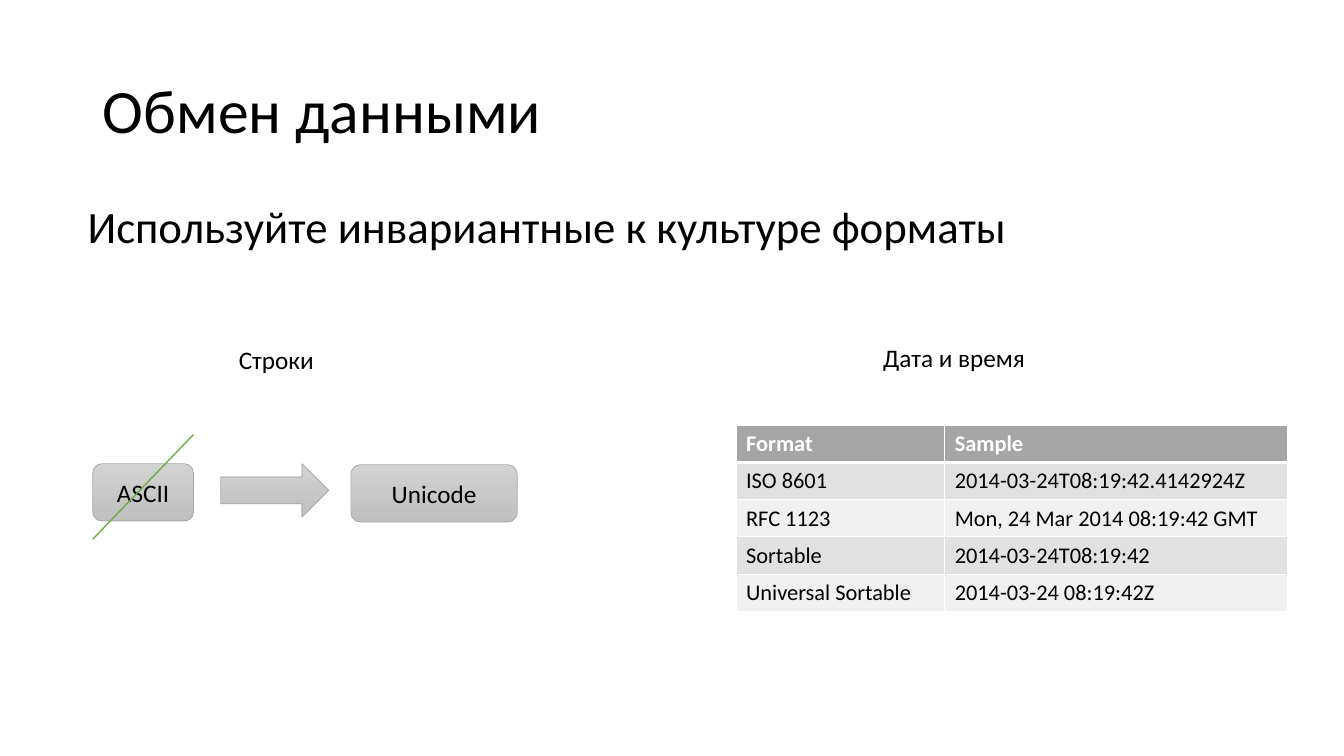
from dataclasses import dataclass

from lxml import etree
from pptx import Presentation
from pptx.dml.color import RGBColor
from pptx.enum.shapes import MSO_CONNECTOR, MSO_SHAPE
from pptx.enum.text import MSO_ANCHOR, MSO_AUTO_SIZE, PP_ALIGN
from pptx.oxml.ns import qn
from pptx.util import Inches, Pt

ROUND_RECT, RIGHT_ARROW = MSO_SHAPE.ROUNDED_RECTANGLE, MSO_SHAPE.RIGHT_ARROW
STRAIGHT = MSO_CONNECTOR.STRAIGHT
MIDDLE = MSO_ANCHOR.MIDDLE
LEFT, CENTER = PP_ALIGN.LEFT, PP_ALIGN.CENTER
NO_GROW, GROW = MSO_AUTO_SIZE.NONE, MSO_AUTO_SIZE.SHAPE_TO_FIT_TEXT


@dataclass(frozen=True)
class Theme:
    font: str = "Calibri"
    text: str = "000000"
    white: str = "FFFFFF"
    gray: str = "A5A5A5"
    green: str = "70AD47"
    gradient: tuple = ("D2D2D2", "C0C0C0")
    bands: tuple = ("E1E1E1", "F0F0F0")
    title: int = 44
    lead: int = 32
    body: int = 18
    cell: int = 16


THEME = Theme()
FORMATS = [
    ("Format", "Sample"),
    ("ISO 8601", "2014-03-24T08:19:42.4142924Z"),
    ("RFC 1123", "Mon, 24 Mar 2014 08:19:42 GMT"),
    ("Sortable", "2014-03-24T08:19:42"),
    ("Universal Sortable", "2014-03-24 08:19:42Z"),
]


def rgb(color):
    return RGBColor.from_string(color)


def inches(*lengths):
    return [Inches(length) for length in lengths]


def write(tf, text, size, color=THEME.text, bold=False, align=LEFT):
    p = tf.paragraphs[0]
    p.alignment = align
    r = p.add_run()
    r.text = text
    for name, value in {"name": THEME.font, "size": Pt(size), "bold": bold}.items():
        setattr(r.font, name, value)
    r.font.color.rgb = rgb(color)
    return p


def add_title(slide, text, box):
    sp = slide.shapes.title
    sp.left, sp.top, sp.width, sp.height = inches(*box)
    tf = sp.text_frame
    for name, value in {"word_wrap": True, "auto_size": NO_GROW, "vertical_anchor": MIDDLE}.items():
        setattr(tf, name, value)
    write(tf, text, THEME.title).line_spacing = 0.9


def add_label(slide, text, box, size):
    tf = slide.shapes.add_textbox(*inches(*box)).text_frame
    tf.word_wrap = False
    tf.auto_size = GROW
    write(tf, text, size)


def add_gray_shape(slide, kind, box, text=None):
    sp = slide.shapes.add_shape(kind, *inches(*box))
    sp.shadow.inherit = False
    sp.fill.gradient()
    sp.fill.gradient_angle = 270
    for stop, color in zip(sp.fill.gradient_stops, THEME.gradient):
        stop.color.rgb = rgb(color)
    for stop, position in zip(sp.fill.gradient_stops, (0, 1)):
        stop.position = position
    sp.line.color.rgb = rgb(THEME.gray)
    sp.line.width = Pt(0.5)
    if text:
        sp.text_frame.vertical_anchor = MIDDLE
        write(sp.text_frame, text, THEME.body, align=CENTER)


def add_strike(slide, start, end):
    line = slide.shapes.add_connector(STRAIGHT, *inches(*start, *end))
    line.line.color.rgb = rgb(THEME.green)
    line.line.width = Pt(1)
    etree.SubElement(line.element.spPr, qn("a:effectLst"))


def add_strings(slide, box):
    """Replacement of ASCII by Unicode."""
    x, y, w, h = box
    add_label(slide, "Строки", (x + 1.35, y, 0.96, 0.4), THEME.body)
    row = y + 1.23
    ascii_w, unicode_w, box_h = 1, 1.65, 0.57
    add_gray_shape(slide, ROUND_RECT, (x, row, ascii_w, box_h), "ASCII")
    add_gray_shape(slide, ROUND_RECT, (x + w - unicode_w, row + 0.01, unicode_w, box_h), "Unicode")
    add_gray_shape(slide, RIGHT_ARROW, (x + 1.27, row, 1.07, 0.53))
    add_strike(slide, (x + ascii_w, row - 0.29), (x, y + h))


def set_borders(cell, bottom):
    tc_pr = cell._tc.get_or_add_tcPr()
    for side, width in {"L": 1, "R": 1, "T": 1, "B": bottom}.items():
        ln = etree.SubElement(tc_pr, qn(f"a:ln{side}"), w=str(Pt(width)))
        fill = etree.SubElement(ln, qn("a:solidFill"))
        etree.SubElement(fill, qn("a:srgbClr"), val=THEME.white)


def add_dates(slide, box):
    """Date and time formats with samples."""
    x, y, w, h = box
    add_label(slide, "Дата и время", (x + 1.36, y, 1.62, 0.4), THEME.body)
    top = y + 0.87
    frame = slide.shapes.add_table(len(FORMATS), 2, *inches(x, top, w, y + h - top))
    table = frame.table
    for column, width in zip(table.columns, (2.07, w - 2.07)):
        column.width = Inches(width)
    for i, values in enumerate(FORMATS):
        header = i == 0
        table.rows[i].height = Inches(0.35 if header else 0.37)
        for j, value in enumerate(values):
            cell = table.cell(i, j)
            set_borders(cell, 3 if header else 1)
            cell.fill.solid()
            cell.fill.fore_color.rgb = rgb(THEME.gray if header else THEME.bands[(i - 1) % 2])
            color = THEME.white if header else THEME.text
            write(cell.text_frame, value, THEME.cell, color, bold=header)


def main():
    prs = Presentation()
    prs.slide_width, prs.slide_height = inches(13.33, 7.5)
    slide = prs.slides.add_slide(prs.slide_layouts[5])

    # Heading and lead line
    add_title(slide, "Обмен данными", (0.92, 0.4, 11.5, 1.45))
    add_label(slide, "Используйте инвариантные к культуре форматы", (0.77, 1.92, 9.4, 0.64), THEME.lead)

    # Two topics side by side
    add_strings(slide, (0.92, 3.37, 4.21, 1.98))
    add_dates(slide, (7.3, 3.35, 5.47, 2.7))

    prs.save("out.pptx")


if __name__ == "__main__":
    main()
